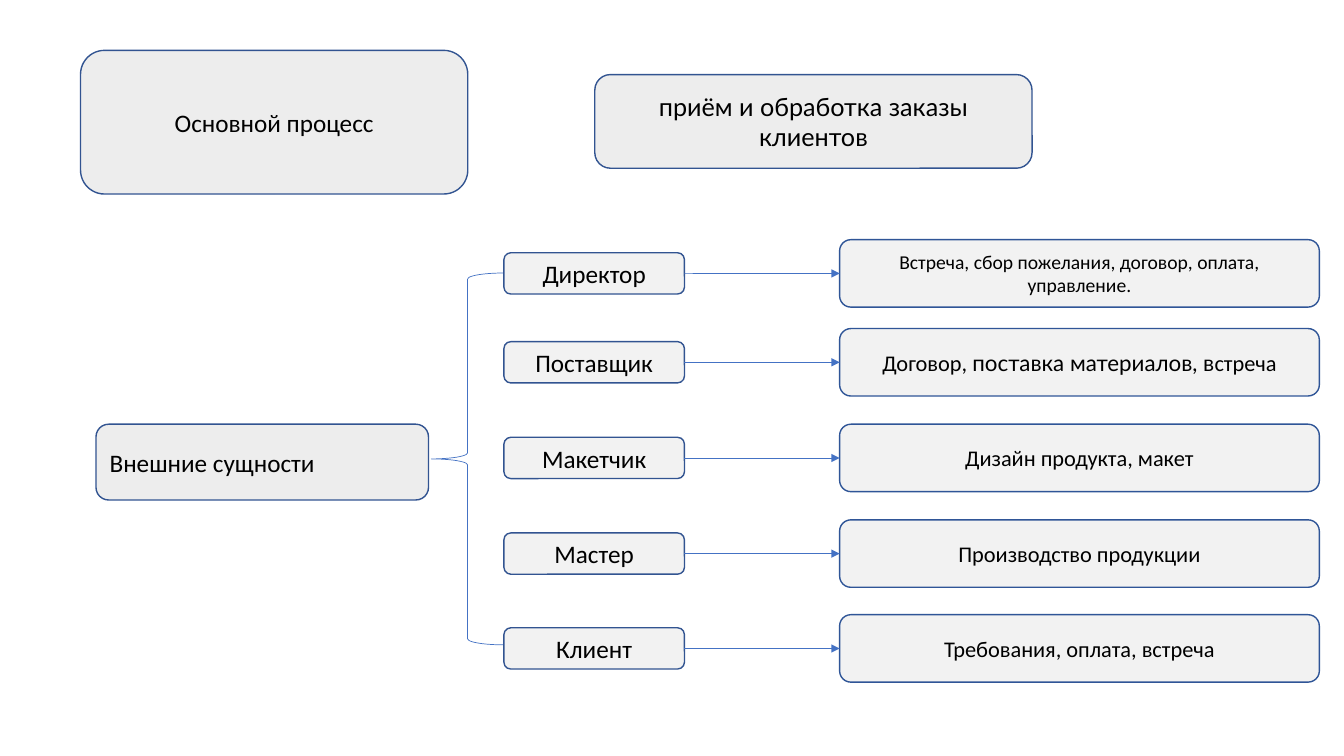
from dataclasses import dataclass

from lxml import etree
from pptx import Presentation
from pptx import util as u
from pptx.dml.color import RGBColor
from pptx.enum import shapes, text
from pptx.oxml import ns


@dataclass(frozen=True)
class Theme:
    row_fill: RGBColor = RGBColor(0xF2, 0xF2, 0xF2)
    title_fill: RGBColor = RGBColor(0xED, 0xED, 0xED)
    outline: RGBColor = RGBColor(0x32, 0x54, 0x91)
    task_outline: RGBColor = RGBColor(0x2F, 0x55, 0x97)
    link: RGBColor = RGBColor(0x44, 0x72, 0xC4)
    ink: RGBColor = RGBColor(0, 0, 0)
    font: str = "Calibri"
    accent_font: str = "Lato"
    large: int = 18
    medium: int = 16
    small: int = 14
    box_line: float = 1
    link_line: float = 0.5


THEME = Theme()

# Entity, centre of its row in cm, text size of the task, runs of the task
ROWS = [
    ("Директор", 6.89, THEME.small,
     [("Встреча, сбор пожелания, договор, оплата, управление.", THEME.font)]),
    ("Поставщик", 9.13, THEME.medium,
     [("Договор, ", THEME.font),
      ("поставка материалов, в", THEME.accent_font),
      ("стреча", THEME.font)]),
    ("Макетчик", 11.54, THEME.medium,
     [("Дизайн продукта, макет", THEME.font)]),
    ("Мастер", 13.95, THEME.medium,
     [("Производство продукции", THEME.font)]),
    ("Клиент", 16.34, THEME.medium,
     [("Требования, оплата, встреча", THEME.font)]),
]
ENTITY_LEFT, ENTITY_WIDTH, ENTITY_HEIGHT = 12.7, 4.55, 1.04
TASK_LEFT, TASK_WIDTH, TASK_HEIGHT = 21.16, 12.09, 1.7


def add_box(slide, left, top, width, height, runs, fill=THEME.title_fill,
            outline=THEME.outline, size=THEME.large,
            align=text.PP_ALIGN.CENTER):
    """Add a rounded box; runs is a list of (wording, font name)."""
    shape = slide.shapes.add_shape(
        shapes.MSO_SHAPE.ROUNDED_RECTANGLE,
        u.Cm(left), u.Cm(top), u.Cm(width), u.Cm(height))
    shape.shadow.inherit = False
    shape.fill.solid()
    shape.fill.fore_color.rgb = fill
    shape.line.color.rgb = outline
    shape.line.width = u.Pt(THEME.box_line)

    frame = shape.text_frame
    frame.word_wrap = True
    frame.vertical_anchor = text.MSO_ANCHOR.MIDDLE
    paragraph = frame.paragraphs[0]
    paragraph.alignment = align
    paragraph.font.size = u.Pt(size)
    paragraph.font.color.rgb = THEME.ink
    paragraph.font.name = runs[0][1]
    for wording, font_name in runs:
        run = paragraph.add_run()
        run.text = wording
        if len(runs) > 1:
            run.font.name = font_name
    return shape


def add_arrow(slide, start, end):
    """Join the right side of one box to the left side of another."""
    connector = slide.shapes.add_connector(
        shapes.MSO_CONNECTOR.STRAIGHT, 0, 0, 0, 0)
    connector.begin_connect(start, 3)
    connector.end_connect(end, 1)
    connector.line.color.rgb = THEME.link
    connector.line.width = u.Pt(THEME.link_line)
    etree.SubElement(connector.line._get_or_add_ln(), ns.qn("a:tailEnd"),
                     type="triangle")
    etree.SubElement(connector._element.spPr, ns.qn("a:effectLst"))


def add_brace(slide, left, top, width, height):
    brace = slide.shapes.add_shape(
        shapes.MSO_SHAPE.LEFT_BRACE,
        u.Cm(left), u.Cm(top), u.Cm(width), u.Cm(height))
    brace.shadow.inherit = False
    brace.fill.background()
    brace.line.color.rgb = THEME.link
    brace.line.width = u.Pt(THEME.link_line)


def add_row(slide, entity_name, centre, task_size, task_runs):
    entity = add_box(slide, ENTITY_LEFT, centre - ENTITY_HEIGHT / 2,
                     ENTITY_WIDTH, ENTITY_HEIGHT,
                     [(entity_name, THEME.font)], fill=THEME.row_fill)
    task = add_box(slide, TASK_LEFT, centre - TASK_HEIGHT / 2,
                   TASK_WIDTH, TASK_HEIGHT, task_runs, fill=THEME.row_fill,
                   outline=THEME.task_outline, size=task_size)
    add_arrow(slide, entity, task)


def main():
    presentation = Presentation()
    presentation.slide_width = u.Cm(33.87)
    presentation.slide_height = u.Cm(19.05)
    slide = presentation.slides.add_slide(presentation.slide_layouts[6])

    # Main process
    add_box(slide, 2.03, 1.27, 9.76, 3.62, [("Основной процесс", THEME.font)])
    add_box(slide, 14.99, 1.88, 11.02, 2.36,
            [("приём и обработка заказы клиентов", THEME.accent_font)])

    # External entities and their tasks
    add_box(slide, 2.42, 10.69, 8.38, 1.91,
            [("Внешние сущности", THEME.font)], align=text.PP_ALIGN.LEFT)
    add_brace(slide, 10.87, 6.88, 1.83, 9.37)
    for row in ROWS:
        add_row(slide, *row)

    presentation.save("out.pptx")


if __name__ == "__main__":
    main()
